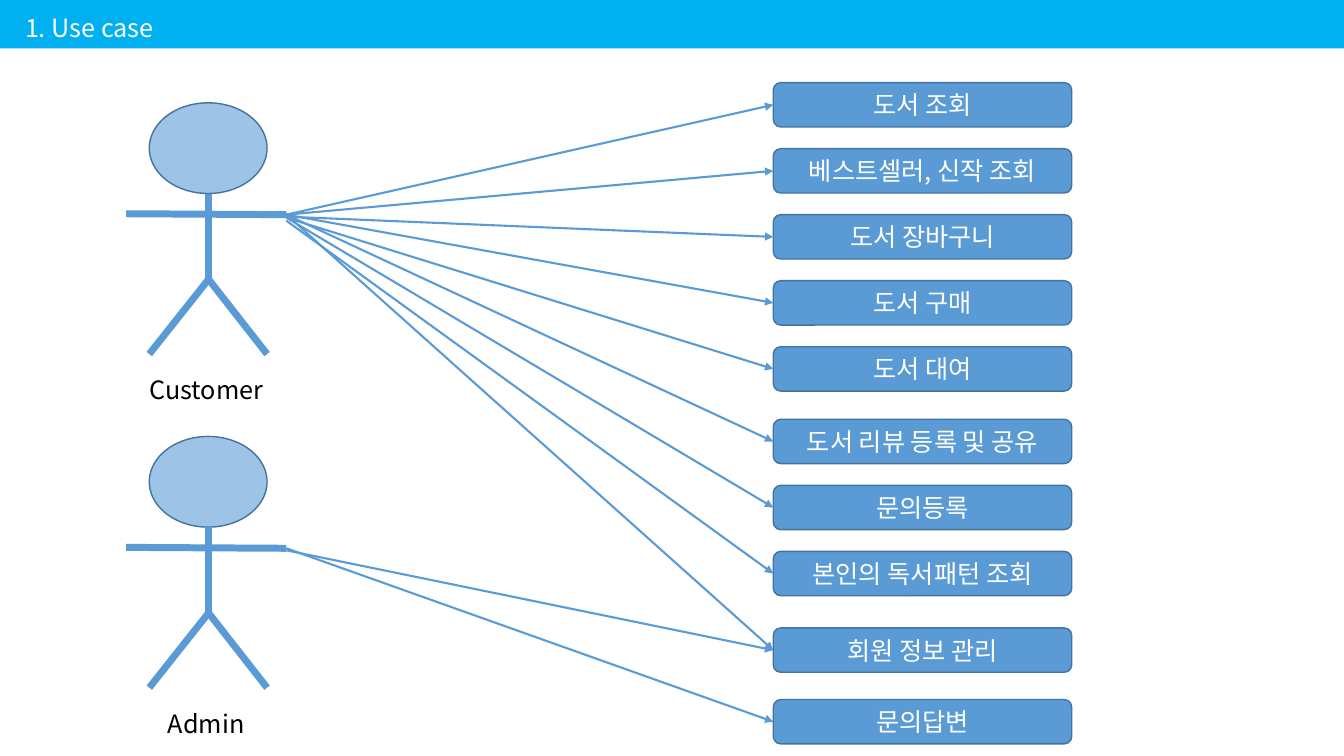
from lxml.etree import SubElement
from pptx import Presentation
from pptx.dml.color import RGBColor
from pptx.enum.shapes import MSO_CONNECTOR, MSO_SHAPE
from pptx.enum.text import MSO_ANCHOR, PP_ALIGN
from pptx.oxml.ns import qn
from pptx.util import Inches, Pt

FONT = "Noto Sans CJK KR"
COLORS = {
    "banner": "00B0F0",
    "head": "9DC3E6",
    "main": "5B9BD5",
    "outline": "43739E",
    "white": "FFFFFF",
    "black": "000000",
}
SLIDE_WIDTH, SLIDE_HEIGHT = 13.33, 7.5
ACTOR_LEFT, ACTOR_WIDTH, ACTOR_HEIGHT = 1.25, 1.59, 3.04
CASE_LEFT, CASE_WIDTH, CASE_HEIGHT, CASE_PITCH = 7.67, 2.96, 0.44, 0.655

CASE_GROUPS = [
    (0.82, ["도서 조회", "베스트셀러, 신작 조회", "도서 장바구니", "도서 구매", "도서 대여"]),
    (4.16, ["도서 리뷰 등록 및 공유", "문의등록", "본인의 독서패턴 조회"]),
    (6.23, ["회원 정보 관리"]),
    (6.94, ["문의답변"]),
]
ACTORS = [
    ("Customer", 1.02, [
        ("도서 조회", 0), ("베스트셀러, 신작 조회", 0), ("도서 장바구니", 0.02),
        ("도서 구매", 0), ("도서 대여", 0.03), ("도서 리뷰 등록 및 공유", 0),
        ("문의등록", 0.03), ("본인의 독서패턴 조회", 0.06), ("회원 정보 관리", 0),
    ]),
    ("Admin", 4.33, [("문의답변", 0), ("회원 정보 관리", 0.02)]),
]


def color(name):
    return RGBColor.from_string(COLORS[name])


def write_text(shape, text, ink="white", align=PP_ALIGN.CENTER, anchor=MSO_ANCHOR.MIDDLE):
    frame = shape.text_frame
    frame.word_wrap = True
    frame.vertical_anchor = anchor
    para = frame.paragraphs[0]
    para.alignment = align
    span = para.add_run()
    span.text = text
    span.font.size = Pt(18)
    span.font.name = FONT
    span.font.color.rgb = color(ink)
    SubElement(span.font._element, qn("a:ea"), typeface=FONT)


def add_box(shapes, kind, box, fill, line=None):
    shape = shapes.add_shape(kind, *map(Inches, box))
    shape.shadow.inherit = False
    shape.fill.solid()
    shape.fill.fore_color.rgb = color(fill)
    if line:
        shape.line.color.rgb = color(line)
        shape.line.width = Pt(1)
    else:
        shape.line.fill.background()
    return shape


def add_line(shapes, start, end, weight, target=None):
    line = shapes.add_connector(MSO_CONNECTOR.STRAIGHT, *map(Inches, (*start, *end)))
    line.line.color.rgb = color("main")
    line.line.width = Pt(weight)
    SubElement(line._element.spPr, qn("a:effectLst"))
    if target is not None:
        SubElement(line.line._get_or_add_ln(), qn("a:tailEnd"), type="triangle")
        line.end_connect(target, 1)


def draw_actor(page, name, box):
    left, top, width, height = box

    def point(across, down):
        return left + across * width, top + down * height

    figure = page.shapes.add_group_shape().shapes
    head = (*point(0.145, 0), 0.735 * width, 0.296 * height)
    add_box(figure, MSO_SHAPE.OVAL, head, "head", "outline")
    neck, hip, hand = point(0.515, 0.296), point(0.515, 0.576), point(1, 0.365)
    limbs = [
        (neck, hip),
        (hip, point(0.88, 0.82)),
        (hip, point(0.145, 0.82)),
        (hand, point(0, 0.362)),
    ]
    for start, end in limbs:
        add_line(figure, start, end, 5)
    label = (*point(0, 0.872), width, 0.128 * height)
    write_text(add_box(page.shapes, MSO_SHAPE.RECTANGLE, label, "white", "white"), name, ink="black")
    return hand


def draw_cases(page, left, width):
    cases = {}
    for top, names in CASE_GROUPS:
        for row, name in enumerate(names):
            box = (left, top + row * CASE_PITCH, width, CASE_HEIGHT)
            cases[name] = add_box(page.shapes, MSO_SHAPE.ROUNDED_RECTANGLE, box, "main", "outline")
            write_text(cases[name], name)
    return cases


def draw_links(page, hand, links, cases):
    across, down = hand
    for name, drop in links:
        case = cases[name]
        end = (case.left.inches, case.top.inches + CASE_HEIGHT / 2)
        add_line(page.shapes, (across, down + drop), end, 1.5, target=case)


def draw_banner(page, title, box):
    left, top, width, height = box
    add_box(page.shapes, MSO_SHAPE.RECTANGLE, box, "banner")
    place = (left + 0.15, top + 0.07, 4.83, 0.4)
    heading = page.shapes.add_textbox(*map(Inches, place))
    write_text(heading, title, align=PP_ALIGN.LEFT, anchor=MSO_ANCHOR.TOP)


def main():
    deck = Presentation()
    deck.slide_width, deck.slide_height = Inches(SLIDE_WIDTH), Inches(SLIDE_HEIGHT)
    page = deck.slides.add_slide(deck.slide_layouts[6])
    hands = [
        draw_actor(page, name, (ACTOR_LEFT, top, ACTOR_WIDTH, ACTOR_HEIGHT))
        for name, top, _ in ACTORS
    ]
    cases = draw_cases(page, CASE_LEFT, CASE_WIDTH)
    for hand, (_, _, links) in zip(hands, ACTORS):
        draw_links(page, hand, links, cases)
    draw_banner(page, "1. Use case", (0, 0, SLIDE_WIDTH, 0.48))
    deck.save("out.pptx")


if __name__ == "__main__":
    main()
